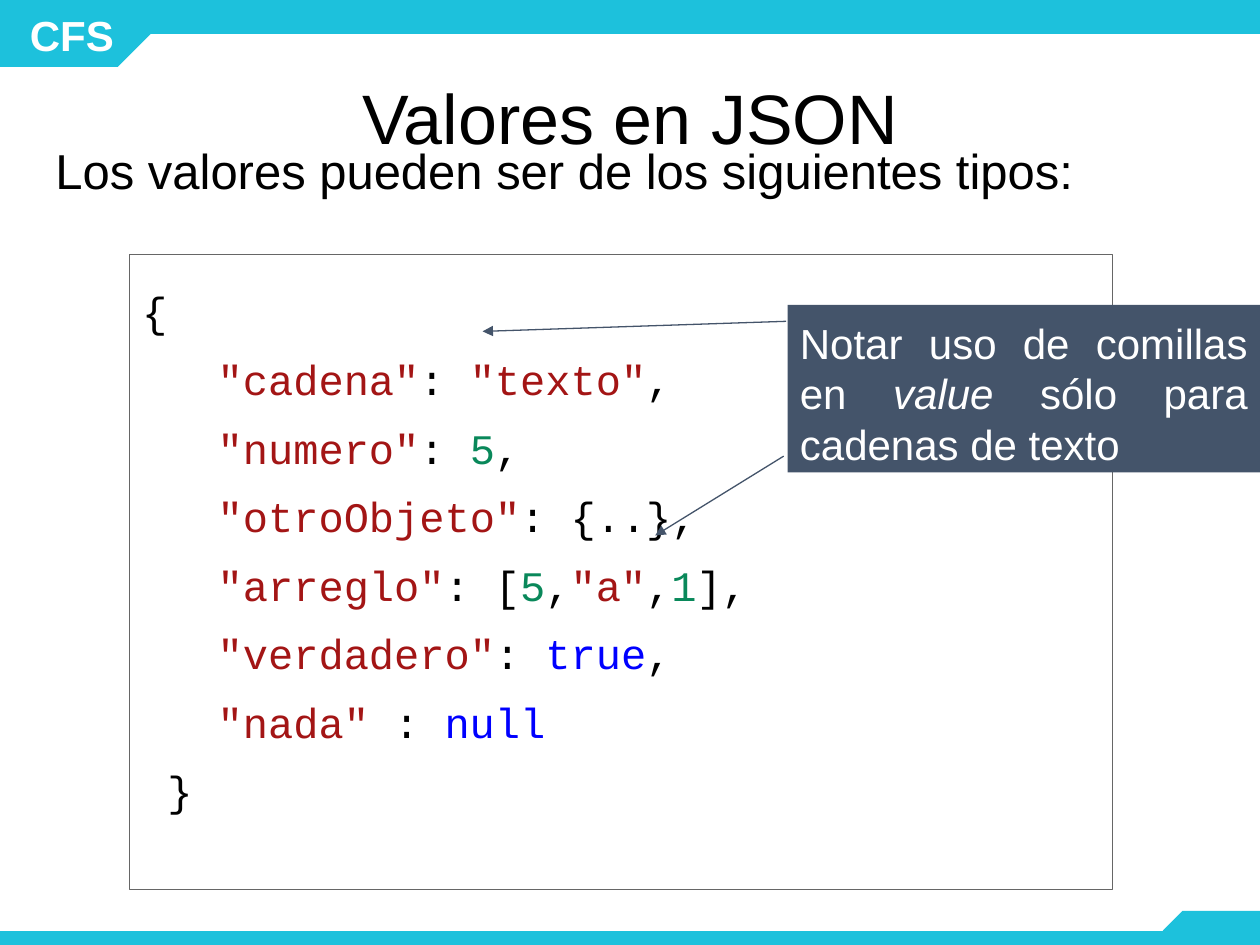
from lxml.etree import SubElement
from pptx import Presentation
from pptx.dml.color import RGBColor
from pptx.enum.shapes import MSO_CONNECTOR, MSO_SHAPE
from pptx.enum.text import MSO_ANCHOR, MSO_AUTO_SIZE, PP_ALIGN
from pptx.oxml.ns import qn
from pptx.util import Inches, Pt

CYAN = RGBColor(0x1D, 0xC1, 0xDC)
SLATE = RGBColor(0x44, 0x54, 0x6A)
GREY = RGBColor(0x66, 0x66, 0x66)
BLACK = RGBColor(0x00, 0x00, 0x00)
WHITE = RGBColor(0xFF, 0xFF, 0xFF)
STRING = RGBColor(0xA3, 0x15, 0x15)
NUMBER = RGBColor(0x09, 0x88, 0x5A)
KEYWORD = RGBColor(0x00, 0x00, 0xFF)

prs = Presentation()
prs.slide_width, prs.slide_height = Inches(10), Inches(7.5)
slide = prs.slides.add_slide(prs.slide_layouts[1])
shapes = slide.shapes


def share(*percents):
    """Turn alternating x, y percentages of the slide into lengths."""
    sides = (prs.slide_width, prs.slide_height)
    return [int(sides[i % 2] * p / 100) for i, p in enumerate(percents)]


def write(paragraph, text, size, colour, font="Arial", **extra):
    run = paragraph.add_run()
    run.text = text
    run.font.color.rgb = colour
    for key, value in dict(name=font, size=Pt(size), **extra).items():
        setattr(run.font, key, value)


# Header and footer bands with their cut-corner tabs
bands = [
    (MSO_SHAPE.RECTANGLE, (0, 98.53, 100, 1.47), 0),
    (MSO_SHAPE.SNIP_1_RECTANGLE, (92.3, 96.4, 7.7, 4.13), 0),
    (MSO_SHAPE.RECTANGLE, (11.2, 0, 88.8, 3.6), 0),
    (MSO_SHAPE.SNIP_1_RECTANGLE, (0, 0, 12, 7.07), 180),
]
for preset, area, rotation in bands:
    band = shapes.add_shape(preset, *share(*area))
    band.shadow.inherit = False
    band.fill.solid()
    band.fill.fore_color.rgb = CYAN
    band.line.fill.background()
    band.rotation = rotation
    if preset == MSO_SHAPE.SNIP_1_RECTANGLE:
        band.adjustments[0] = 0.5
        band._element.spPr.find(qn("a:xfrm")).set("flipH", "1")

course = shapes.add_textbox(*share(0.7, 0.53, 10, 6.27)).text_frame
course.word_wrap = True
course.vertical_anchor = MSO_ANCHOR.MIDDLE
course.paragraphs[0].alignment = PP_ALIGN.CENTER
write(course.paragraphs[0], "CFS", 24, WHITE, bold=True)

# Title and introduction
heading, intro = shapes.title, slide.placeholders[1]
placeholders = [
    (heading, (6.9, 4, 86.2, 17.73), "Valores en JSON", 40,
     PP_ALIGN.CENTER, MSO_ANCHOR.MIDDLE),
    (intro, (3.4, 14.93, 89.7, 11.2),
     "Los valores pueden ser de los siguientes tipos:", 28,
     PP_ALIGN.LEFT, MSO_ANCHOR.TOP),
]
for holder, area, text, size, alignment, anchor in placeholders:
    holder.left, holder.top, holder.width, holder.height = share(*area)
    frame = holder.text_frame
    frame.auto_size = MSO_AUTO_SIZE.NONE
    frame.vertical_anchor = anchor
    line = frame.paragraphs[0]
    properties = line._p.get_or_add_pPr()
    properties.set("marL", "0")
    properties.set("indent", "0")
    SubElement(properties, qn("a:buNone"))
    line.alignment = alignment
    line.line_spacing = 0.9
    line.space_before = Pt(0)
    write(line, text, size, BLACK)

# JSON sample and callout boxes
boxes = []
for area in [(10.3, 26.93, 78, 67.2), (62.5, 32.27, 37.5, 17.73)]:
    box = shapes.add_shape(MSO_SHAPE.RECTANGLE, *share(*area))
    box.shadow.inherit = False
    frame = box.text_frame
    frame.word_wrap = True
    frame.vertical_anchor = MSO_ANCHOR.TOP
    for side in ("left", "top", "right", "bottom"):
        setattr(frame, f"margin_{side}", Inches(0.1))
    boxes.append(box)
sample, callout = boxes

sample.fill.background()
sample.line.color.rgb = GREY
sample.line.width = Pt(0.75)
json_lines = [
    [("{", BLACK)],
    [("   ", BLACK), ('"cadena"', STRING), (": ", BLACK),
     ('"texto"', STRING), (",", BLACK)],
    [("   ", BLACK), ('"numero"', STRING), (": ", BLACK),
     ("5", NUMBER), (",", BLACK)],
    [("   ", BLACK), ('"otroObjeto"', STRING), (": {..},", BLACK)],
    [("   ", BLACK), ('"arreglo"', STRING), (": [", BLACK), ("5", NUMBER),
     (",", BLACK), ('"a"', STRING), (",", BLACK), ("1", NUMBER), ("],", BLACK)],
    [("   ", BLACK), ('"verdadero"', STRING), (": ", BLACK),
     ("true", KEYWORD), (",", BLACK)],
    [("   ", BLACK), ('"nada"', STRING), (" : ", BLACK), ("null", KEYWORD)],
    [(" }", BLACK)],
]
for row, tokens in enumerate(json_lines):
    code = sample.text_frame
    line = code.add_paragraph() if row else code.paragraphs[0]
    line.alignment = PP_ALIGN.LEFT
    line.line_spacing = 1.36
    for token, colour in tokens:
        write(line, token, 24, colour, "Courier New")

callout.fill.solid()
callout.fill.fore_color.rgb = SLATE
callout.line.fill.background()
note = callout.text_frame.paragraphs[0]
note.alignment = PP_ALIGN.JUSTIFY
for text, italic in [("Notar uso de comillas en ", False), ("value ", True),
                     ("sólo para cadenas de texto", False)]:
    write(note, text, 24, WHITE, italic=italic)

# Arrows from the callout to the quoted values
for ends in [(62.4, 34, 38.3, 35.07), (62.2, 48.27, 52, 56.67)]:
    arrow = shapes.add_connector(MSO_CONNECTOR.STRAIGHT, *share(*ends))
    arrow.line.color.rgb = SLATE
    arrow.line.width = Pt(0.75)
    SubElement(arrow.line._get_or_add_ln(), qn("a:tailEnd"), type="triangle")
    SubElement(arrow._element.spPr, qn("a:effectLst"))

prs.save("out.pptx")
